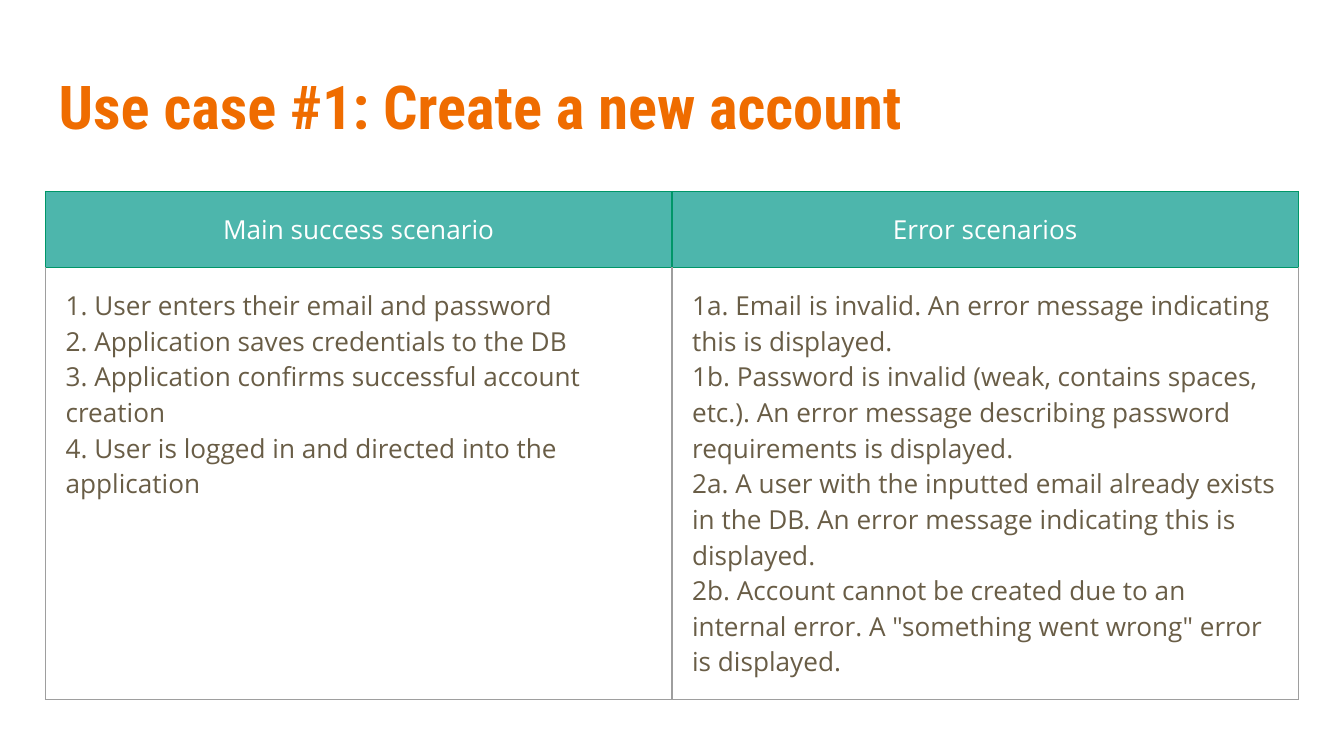
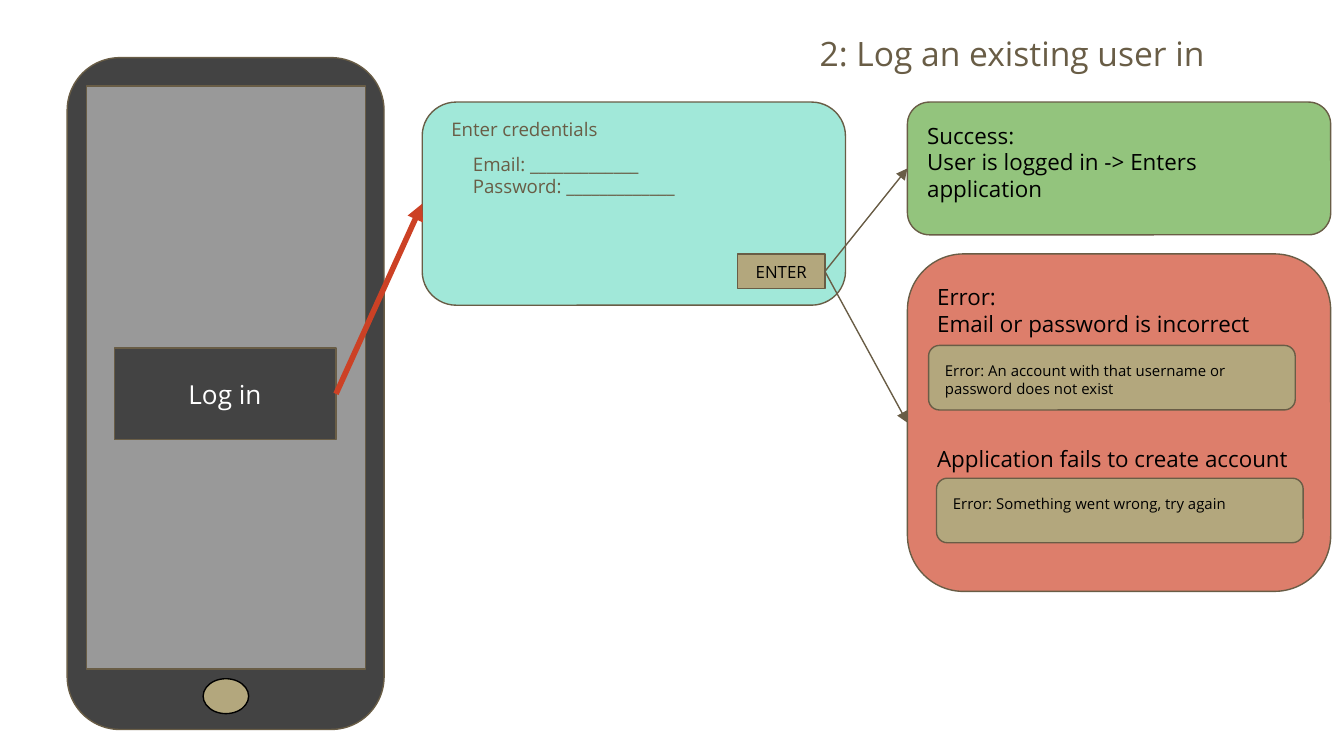
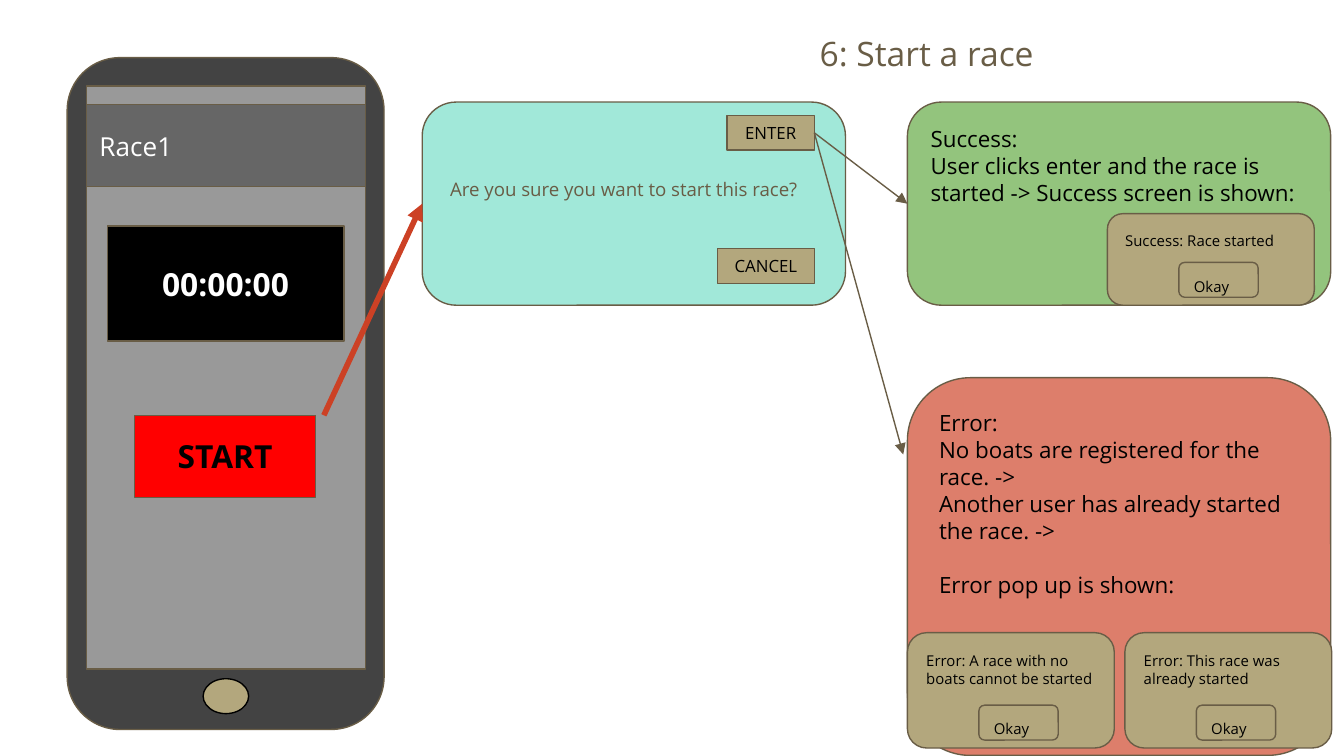
"""Build three slides on the use cases of a boat race app: a scenario table and two screen flows."""
from lxml import etree
from pptx import Presentation
from pptx.dml.color import RGBColor
from pptx.enum.shapes import MSO_CONNECTOR, MSO_SHAPE as SHAPE
from pptx.enum.text import MSO_ANCHOR as ANCHOR, MSO_AUTO_SIZE, PP_ALIGN as ALIGN
from pptx.oxml import parse_xml
from pptx.oxml.ns import nsdecls, qn
from pptx.util import Cm, Pt

rgb = RGBColor.from_string
WHITE, BLACK, BROWN, KHAKI = "FFFFFF", "000000", "695D46", "B3A77D"
DARK, ORANGE, TEAL, GREEN = "434343", "EF6C00", "4DB6AC", "009668"
MINT, SUCCESS, ERROR, RED = "A1E8D9", "93C47D", "DD7E6B", "CC4125"
SIDES = ("margin_left", "margin_top", "margin_right", "margin_bottom")
ROUND, RECT = SHAPE.ROUNDED_RECTANGLE, SHAPE.RECTANGLE

BUTTON = dict(size=9, align=ALIGN.CENTER, anchor=ANCHOR.MIDDLE)
PHONE_LABEL = dict(size=14, colour=WHITE, anchor=ANCHOR.MIDDLE)
PHONE_BOLD = dict(size=17, bold=True, align=ALIGN.CENTER, anchor=ANCHOR.MIDDLE)
FORM = dict(size=10, colour=BROWN)
HEADING = dict(size=18, colour=BROWN)
OUTCOME = dict(size=12)
POPUP = dict(size=8)


def write(frame, lines, size, colour=BLACK, bold=False, align=ALIGN.LEFT,
          name="Open Sans", last_gap=0):
    for number, line in enumerate(lines):
        paragraph = frame.paragraphs[0] if number == 0 else frame.add_paragraph()
        paragraph.text = line
        paragraph.alignment = align
        if last_gap and number == len(lines) - 1:
            paragraph.space_before = Pt(last_gap)
        for key, value in dict(size=Pt(size), bold=bold, name=name).items():
            setattr(paragraph.font, key, value)
        paragraph.font.color.rgb = rgb(colour)


def add_box(slide, kind, place, fill=None, lines=(), outline=BROWN, anchor=ANCHOR.TOP, **style):
    place = [Cm(length) for length in place]
    if kind == "title":
        box = slide.shapes.title
        box.left, box.top, box.width, box.height = place
    elif kind == "text":
        box = slide.shapes.add_textbox(*place)
    else:
        box = slide.shapes.add_shape(kind, *place)
        box.shadow.inherit = False
        box.fill.solid()
        box.fill.fore_color.rgb = rgb(fill)
        box.line.color.rgb = rgb(outline)
        box.line.width = Pt(0.75)
    if lines:
        frame = box.text_frame
        settings = dict.fromkeys(SIDES, Cm(0.25))
        settings.update(word_wrap=True, auto_size=MSO_AUTO_SIZE.NONE, vertical_anchor=anchor)
        for key, value in settings.items():
            setattr(frame, key, value)
        write(frame, lines, **style)
    return box


deck = Presentation()
deck.slide_width, deck.slide_height = Cm(25.4), Cm(14.29)
account, login, race = [deck.slides.add_slide(deck.slide_layouts[5]) for _ in range(3)]

add_box(account, "title", (0.86, 1.02, 23.67, 1.96), lines=["Use case #1: Create a new account"],
        size=32.4, colour=ORANGE, bold=True, name="Roboto Condensed", anchor=ANCHOR.MIDDLE)
scenarios = [
    (["Main success scenario"], ["Error scenarios"]),
    (["1. User enters their email and password",
      "2. Application saves credentials to the DB",
      "3. Application confirms successful account creation",
      "4. User is logged in and directed into the application"],
     ["1a. Email is invalid. An error message indicating this is displayed.",
      "1b. Password is invalid (weak, contains spaces, etc.). An error message describing "
      "password requirements is displayed.",
      "2a. A user with the inputted email already exists in the DB. An error message "
      "indicating this is displayed.",
      "2b. Account cannot be created due to an internal error. A \"something went wrong\" "
      "error is displayed."]),
]
table = account.shapes.add_table(2, 2, Cm(0.86), Cm(3.62), Cm(23.68), Cm(9.59)).table
table.first_row = table.horz_banding = False
for column in table.columns:
    column.width = Cm(11.84)
for row, height in zip(table.rows, (1.44, 8.15)):
    row.height = Cm(height)
for r, row in enumerate(scenarios):
    for c, lines in enumerate(row):
        cell = table.cell(r, c)
        for side in SIDES:
            setattr(cell, side, Cm(0.38))
        for edge in "LRTB":
            colour = GREEN if r == 0 or edge == "T" else "9E9E9E"
            cell._tc.get_or_add_tcPr().append(parse_xml(
                f'<a:ln{edge} w="9525" {nsdecls("a")}><a:solidFill>'
                f'<a:srgbClr val="{colour}"/></a:solidFill></a:ln{edge}>'))
        if r == 0:
            cell.fill.solid()
            cell.fill.fore_color.rgb = rgb(TEAL)
            write(cell.text_frame, lines, 14, WHITE, align=ALIGN.CENTER)
        else:
            cell.fill.background()
            write(cell.text_frame, lines, 14, BROWN)

forms = []
for slide, heading in ((login, "2: Log an existing user in"), (race, "6: Start a race")):
    add_box(slide, "title", (15.24, 0.38, 7.92, 1.4), lines=[heading], **HEADING)
    add_box(slide, SHAPE.FLOWCHART_ALTERNATE_PROCESS, (1.27, 1.09, 5.99, 12.7), DARK)
    add_box(slide, RECT, (1.63, 1.63, 5.28, 11.02), "999999")
    add_box(slide, SHAPE.OVAL, (3.84, 12.83, 0.86, 0.66), KHAKI, outline=BLACK)
    forms.append(add_box(slide, ROUND, (7.98, 1.93, 8, 3.84), MINT))
login_form, race_form = forms

login_button = add_box(login, RECT, (2.16, 6.58, 4.19, 1.73), DARK, ["Log in"],
                       align=ALIGN.CENTER, **PHONE_LABEL)
add_box(login, "text", (8.28, 1.98, 4.19, 0.66), lines=["Enter credentials"], **FORM)
add_box(login, "text", (8.69, 2.64, 5.89, 1.8),
        lines=["Email: _____________", "Password: _____________"], **FORM)
login_enter = add_box(login, RECT, (13.94, 4.8, 1.65, 0.66), KHAKI, ["ENTER"], **BUTTON)
logged_in = add_box(login, ROUND, (17.15, 1.93, 8, 2.51), SUCCESS,
                    ["Success:", "User is logged in -> Enters application"], **OUTCOME)
login_error = add_box(login, ROUND, (17.15, 4.8, 8, 6.38), ERROR,
                      ["Error:", "Email or password is incorrect",
                       "Application fails to create account"], last_gap=58, **OUTCOME)
for left, top, message in (
        (17.7, 9.04, "Error: Something went wrong, try again"),
        (17.55, 6.53, "Error: An account with that username or password does not exist")):
    add_box(login, ROUND, (left, top, 6.93, 1.22), KHAKI, [message], **POPUP)

add_box(race, RECT, (1.63, 1.98, 5.28, 1.55), "666666", ["Race1"], **PHONE_LABEL)
add_box(race, RECT, (2.03, 4.27, 4.47, 2.18), BLACK, ["00:00:00"], colour=WHITE, **PHONE_BOLD)
add_box(race, RECT, (2.54, 7.85, 3.43, 1.55), "FF0000", ["START"], **PHONE_BOLD)
add_box(race, "text", (8.26, 3.12, 7.14, 1.55),
        lines=["Are you sure you want to start this race?"], **FORM)
race_enter = add_box(race, RECT, (13.74, 2.18, 1.65, 0.66), KHAKI, ["ENTER"], **BUTTON)
add_box(race, RECT, (13.56, 4.7, 1.83, 0.66), KHAKI, ["CANCEL"], **BUTTON)
race_started = add_box(race, ROUND, (17.15, 1.93, 8, 3.84), SUCCESS,
                       ["Success:", "User clicks enter and the race is started -> "
                        "Success screen is shown:"], **OUTCOME)
add_box(race, ROUND, (17.15, 7.14, 8, 7.14), ERROR,
        ["Error:", "No boats are registered for the race. ->",
         "Another user has already started the race. ->", "Error pop up is shown:"],
        last_gap=14.5, **OUTCOME)
for left, top, height, message in (
        (20.93, 4.04, 1.73, "Success: Race started"),
        (17.15, 11.96, 2.18, "Error: A race with no boats cannot be started"),
        (21.26, 11.96, 2.18, "Error: This race was already started")):
    add_box(race, ROUND, (left, top, 3.91, height), KHAKI, [message], **POPUP)
    add_box(race, ROUND, (left + 1.35, top + height - 0.81, 1.5, 0.66), KHAKI, ["Okay"], **POPUP)

for slide, start, end, colour, width in (
        (login, login_button, login_form, RED, 3),
        (login, login_enter, logged_in, BROWN, 0.75),
        (login, login_enter, login_error, BROWN, 0.75),
        (race, (6.12, 7.85), race_form, RED, 3),
        (race, race_enter, race_started, BROWN, 0.75),
        (race, race_enter, (17.07, 8.59), BROWN, 0.75)):
    arrow = slide.shapes.add_connector(MSO_CONNECTOR.STRAIGHT, 0, 0, 0, 0)
    if isinstance(start, tuple):
        arrow.begin_x, arrow.begin_y = [Cm(length) for length in start]
    else:
        arrow.begin_connect(start, 3)
    if isinstance(end, tuple):
        arrow.end_x, arrow.end_y = [Cm(length) for length in end]
    else:
        arrow.end_connect(end, 1)
    arrow.line.color.rgb = rgb(colour)
    arrow.line.width = Pt(width)
    etree.SubElement(arrow.line._get_or_add_ln(), qn("a:tailEnd"), type="triangle")
    etree.SubElement(arrow._element.spPr, qn("a:effectLst"))

deck.save("out.pptx")
